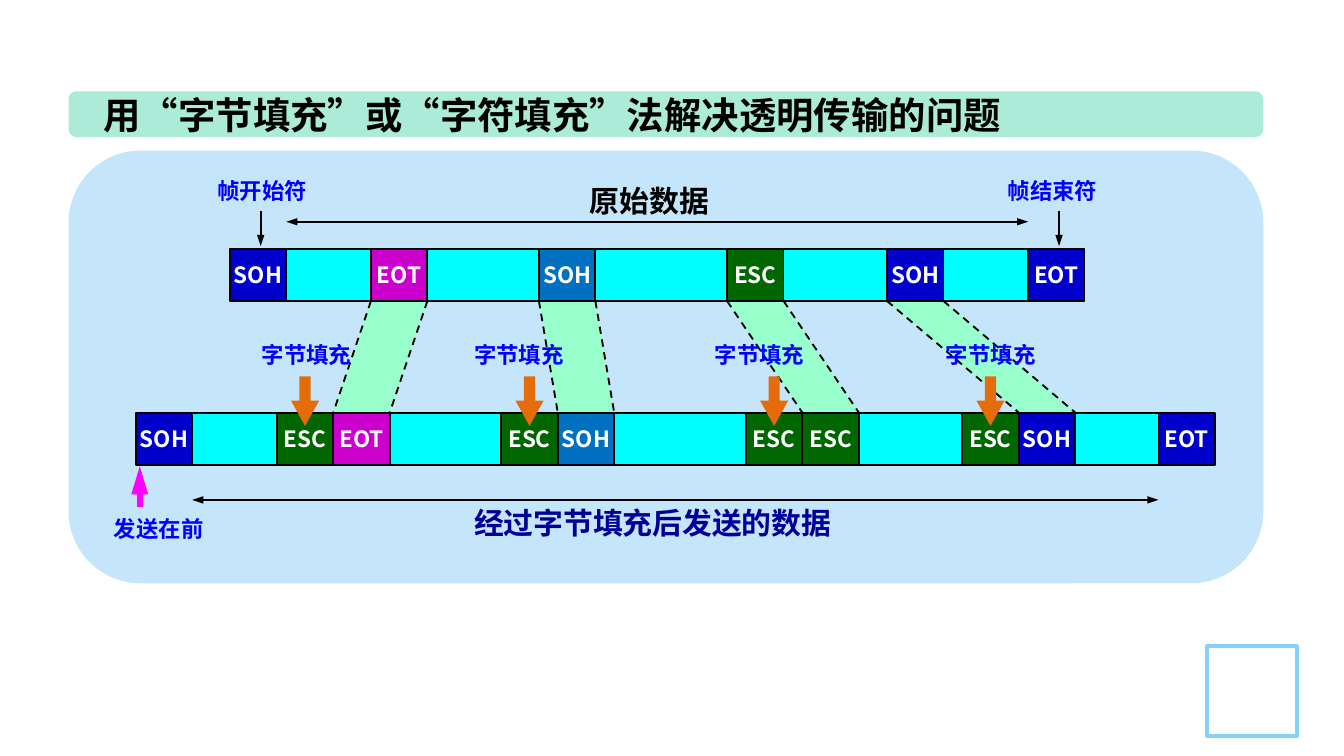
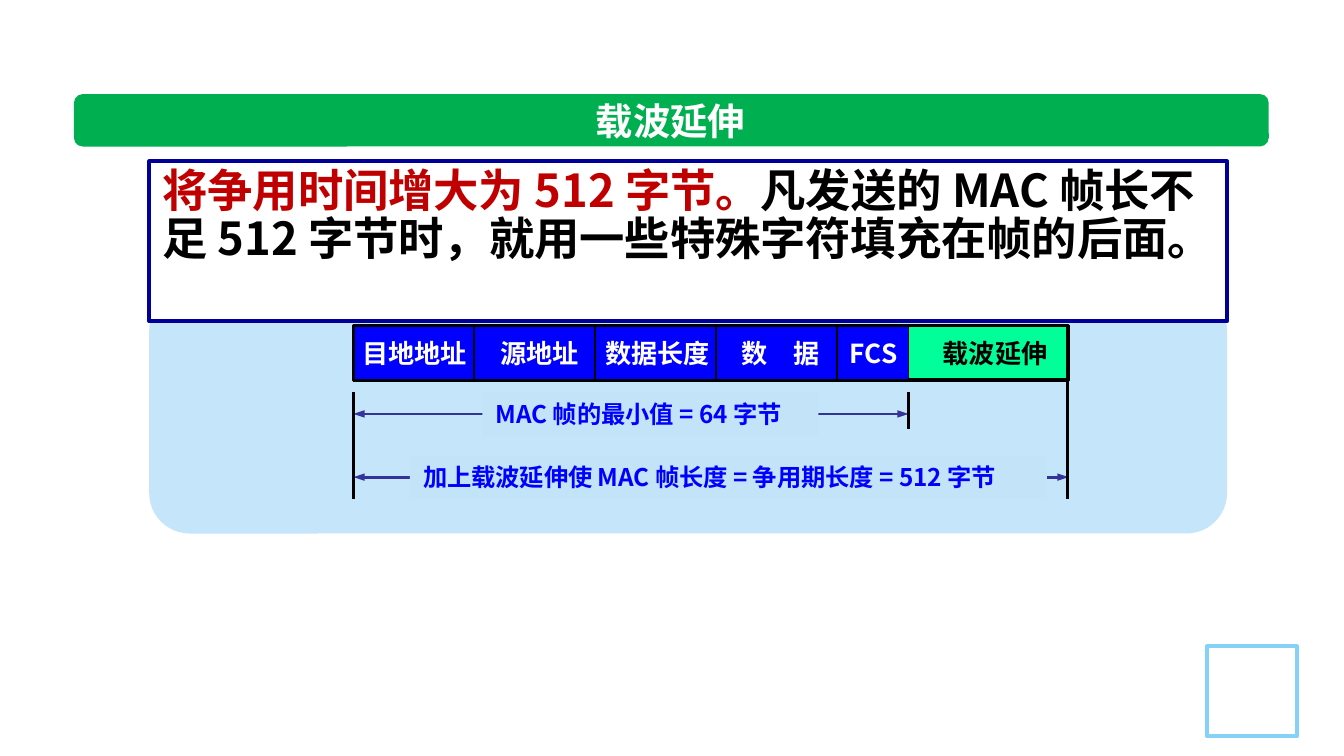
from lxml import etree
from pptx import Presentation
from pptx import util as u
from pptx.dml.color import RGBColor
from pptx.enum import dml, shapes, text
from pptx.oxml.ns import qn

FONT = "Noto Sans CJK SC"
COLORS = {
    "black": "000000", "white": "FFFFFF", "panel": "C5E5FB", "mint": "ABEBD7",
    "green": "00B050", "corner": "85D1F7", "soh": "0000CC", "eot": "CC00CC",
    "data_soh": "0070C0", "esc": "006600", "data": "00FFFF", "link": "99FFCC",
    "label": "0000FF", "navy": "000099", "magenta": "FF00FF", "orange": "E46C0A",
    "measure": "333399", "measure_back": "C3E3F9", "extension": "00FF99",
    "red": "C00000",
}
SHAPE = shapes.MSO_SHAPE
LEFT, CENTER = text.PP_ALIGN.LEFT, text.PP_ALIGN.CENTER

# Byte stuffing: both rows share one byte size
BYTE_W, BYTE_H = 0.42, 0.39
RAW_Y, SENT_Y = 1.85, 3.07
# name, colour, x in the raw row, x in the sent row, x of the stuffing label
STUFFED = [
    ("EOT", "eot", 2.76, 2.48, 1.85),
    ("SOH", "data_soh", 4.01, 4.15, 3.43),
    ("ESC", "esc", 5.41, 5.97, 5.22),
    ("SOH", "soh", 6.6, 7.58, 6.94),
]

# Carrier extension: field name, text left, text width
FIELDS = [
    ("目地地址", 2.59, 0.99), ("源地址", 3.62, 0.79), ("数据长度", 4.4, 0.99),
    ("数　据", 5.4, 0.82), ("FCS", 6.22, 0.56),
]
FRAME_X, FRAME_Y, FIELD_W = 2.63, 2.42, 0.9
FRAME_END, EXTENSION_END = 6.76, 7.95


def rgb(name):
    return RGBColor.from_string(COLORS[name])


def inches(*lengths):
    return [u.Inches(length) for length in lengths]


def paint(shape, fill, line=None, width=1):
    shape.shadow.inherit = False
    shape.fill.solid()
    shape.fill.fore_color.rgb = rgb(fill)
    if line:
        shape.line.color.rgb = rgb(line)
        shape.line.width = u.Pt(width)
    else:
        shape.line.fill.background()


def add_box(slide, kind, at, fill, line=None, width=1, adjust=()):
    box = slide.shapes.add_shape(kind, *inches(*at))
    for index, value in enumerate(adjust):
        box.adjustments[index] = value
    paint(box, fill, line, width)
    return box


def style_paragraph(paragraph, size, color, align):
    paragraph.alignment = align
    font = paragraph.font
    font.name, font.size, font.bold = FONT, u.Pt(size), True
    font.color.rgb = rgb(color)
    defaults = paragraph._p.pPr.find(qn("a:defRPr"))
    etree.SubElement(defaults, qn("a:ea")).set("typeface", FONT)


def write(shape, words, size, color, align=LEFT, wrap=False):
    frame = shape.text_frame
    frame.word_wrap = wrap
    frame.auto_size = text.MSO_AUTO_SIZE.NONE
    frame.vertical_anchor = text.MSO_ANCHOR.MIDDLE
    frame.text = words
    style_paragraph(frame.paragraphs[0], size, color, align)


def add_label(slide, at, words, size, color, align=LEFT, wrap=False):
    label = slide.shapes.add_textbox(*inches(*at))
    write(label, words, size, color, align, wrap)


def add_line(slide, start, end, color="black", width=1.0, head=False,
             tail=False, dashed=False, arrow=("sm", "med")):
    """Straight line; arrow gives the width and length of its arrowheads."""
    line = slide.shapes.add_connector(
        shapes.MSO_CONNECTOR.STRAIGHT, *inches(*start, *end))
    line.line.color.rgb = rgb(color)
    line.line.width = u.Pt(width)
    if dashed:
        line.line.dash_style = dml.MSO_LINE.DASH
    properties = line._element.spPr
    outline = properties.find(qn("a:ln"))
    for wanted, tag in ((head, "a:headEnd"), (tail, "a:tailEnd")):
        if wanted:
            etree.SubElement(outline, qn(tag), type="triangle",
                             w=arrow[0], len=arrow[1])
    etree.SubElement(properties, qn("a:effectLst"))


def add_title(slide, words, at, color, align):
    title = slide.shapes.title
    title.left, title.top, title.width, title.height = inches(*at)
    write(title, words, 20, color, align)
    # Bring the title in front of its band
    title._element.getparent().append(title._element)


def new_slide(prs):
    slide = prs.slides.add_slide(prs.slide_layouts[5])
    add_box(slide, SHAPE.RECTANGLE, (8.98, 4.81, 0.67, 0.67), "white", "corner", 2)
    return slide


def add_band(slide, at, fill):
    add_box(slide, SHAPE.ROUNDED_RECTANGLE, at, fill, adjust=[0.167])


def add_byte(slide, x, y, name, fill):
    byte = add_box(slide, SHAPE.RECTANGLE, (x, y, BYTE_W, BYTE_H), fill, "black")
    write(byte, name, 12, "white", CENTER)


def add_frame_row(slide, x, end, y):
    """Data strip between a start byte and an end byte."""
    add_byte(slide, x - BYTE_W, y, "SOH", "soh")
    add_box(slide, SHAPE.RECTANGLE, (x, y, end - x, BYTE_H), "data", "black")
    add_byte(slide, end, y, "EOT", "soh")


def add_link(slide, raw_x, sent_x):
    """Slanted band from a raw byte down to the same byte as sent."""
    top = RAW_Y + BYTE_H
    corners = [inches(x, y) for x, y in (
        (sent_x, SENT_Y), (sent_x + BYTE_W, SENT_Y),
        (raw_x + BYTE_W, top), (raw_x, top))]
    builder = slide.shapes.build_freeform(*corners[0])
    builder.add_line_segments(corners[1:])
    paint(builder.convert_to_shape(), "link")


def build_byte_stuffing(prs):
    slide = new_slide(prs)
    add_band(slide, (0.51, 0.68, 8.89, 0.34), "mint")
    add_title(slide, "用“字节填充”或“字符填充”法解决透明传输的问题",
              (0.67, 0.63, 6.93, 0.44), "black", LEFT)
    add_box(slide, SHAPE.ROUNDED_RECTANGLE, (0.51, 1.12, 8.89, 3.22), "panel")

    # Rows of bytes and the links between them
    for _, _, raw_x, sent_x, _ in STUFFED:
        add_link(slide, raw_x, sent_x)
    add_frame_row(slide, 2.13, 7.65, RAW_Y)
    add_frame_row(slide, 1.43, 8.62, SENT_Y)
    for name, fill, raw_x, sent_x, _ in STUFFED:
        add_byte(slide, raw_x, RAW_Y, name, fill)
        add_byte(slide, sent_x - BYTE_W, SENT_Y, "ESC", "esc")
        add_byte(slide, sent_x, SENT_Y, name, fill)
        for edge in (0, BYTE_W):
            add_line(slide, (raw_x + edge, RAW_Y + BYTE_H),
                     (sent_x + edge, SENT_Y), dashed=True)

    # Extents of the data
    add_line(slide, (2.13, 1.65), (7.65, 1.65), head=True, tail=True)
    add_label(slide, (4.29, 1.31, 1.1, 0.37), "原始数据", 16, "black")
    add_line(slide, (1.43, 3.72), (8.62, 3.72), head=True, tail=True)
    add_label(slide, (3.43, 3.7, 3.27, 0.37), "经过字节填充后发送的数据",
              16, "navy", wrap=True)

    # Frame markers and sending order
    for words, label_x, arrow_x in (("帧开始符", 1.52, 1.94), ("帧结束符", 7.4, 7.88)):
        add_label(slide, (label_x, 1.27, 0.88, 0.3), words, 12, "label")
        add_line(slide, (arrow_x, 1.57), (arrow_x, 1.83), tail=True)
    add_line(slide, (1.04, 3.77), (1.04, 3.47), "magenta", 3, tail=True,
             arrow=("med", "lg"))
    add_label(slide, (0.75, 3.78, 0.93, 0.3), "发送在前", 12, "label", wrap=True)

    # Stuffed bytes
    arrow_w = 0.21
    for _, _, _, sent_x, label_x in STUFFED:
        add_label(slide, (label_x, 2.49, 0.88, 0.3), "字节填充", 12, "label")
        arrow_x = sent_x - (BYTE_W + arrow_w) / 2
        add_box(slide, SHAPE.DOWN_ARROW, (arrow_x, 2.8, arrow_w, 0.37), "orange",
                adjust=[0.394, 0.901])


def add_measure(slide, y, end, words, left, width):
    add_line(slide, (FRAME_X, y), (end, y), "measure", 1.5, head=True, tail=True)
    caption = add_box(slide, SHAPE.RECTANGLE, (left, y - 0.16, width, 0.32),
                      "measure_back")
    write(caption, words, 13, "label")


def add_rule(slide):
    box = add_box(slide, SHAPE.RECTANGLE, (1.11, 1.2, 8.02, 1.19), "white", "navy", 2)
    frame = box.text_frame
    frame.word_wrap = True
    frame.vertical_anchor = text.MSO_ANCHOR.TOP
    paragraph = frame.paragraphs[0]
    paragraph.line_spacing = u.Pt(26)
    style_paragraph(paragraph, 24.3, "black", LEFT)
    for words, color in (
            ("将争用时间增大为 512 字节。", "red"),
            ("凡发送的 MAC 帧长不足 512 字节时，就用一些特殊字符填充在帧的后面。", "black")):
        run = paragraph.add_run()
        run.text = words
        run.font.color.rgb = rgb(color)


def build_carrier_extension(prs):
    slide = new_slide(prs)
    add_box(slide, SHAPE.ROUNDED_RECTANGLE, (1.11, 2.16, 8.02, 1.81), "panel")
    add_band(slide, (0.55, 0.7, 8.89, 0.39), "green")
    add_title(slide, "载波延伸", (4.33, 0.68, 1.32, 0.44), "white", CENTER)

    # Frame fields
    add_box(slide, SHAPE.RECTANGLE,
            (FRAME_X, FRAME_Y, EXTENSION_END - FRAME_X, 0.41), "label", "black", 1.5)
    for index, (name, left, width) in enumerate(FIELDS):
        x = FRAME_X + index * FIELD_W
        add_line(slide, (x, FRAME_Y), (x, FRAME_Y + 0.42))
        add_label(slide, (left, 2.46, width, 0.33), name, 14, "white", CENTER)
    add_line(slide, (FRAME_END, FRAME_Y), (FRAME_END, FRAME_Y + 0.41))
    add_box(slide, SHAPE.RECTANGLE, (FRAME_END, 2.43, 1.18, 0.39),
            "extension", "black", 0.75)
    add_label(slide, (6.91, 2.46, 0.99, 0.33), "载波延伸", 14, "black", CENTER)

    # Lengths
    add_measure(slide, 3.08, FRAME_END, "MAC 帧的最小值 = 64 字节", 3.59, 2.5)
    add_measure(slide, 3.55, EXTENSION_END,
                "加上载波延伸使 MAC 帧长度 = 争用期长度 = 512 字节", 3.05, 4.74)
    for x, top, bottom in ((FRAME_X, 2.92, 3.71), (FRAME_END, 2.92, 3.19),
                           (EXTENSION_END - 0.01, 2.82, 3.71)):
        add_line(slide, (x, top), (x, bottom), width=1.5)

    add_rule(slide)


def main():
    prs = Presentation()
    prs.slide_width = u.Inches(10)
    prs.slide_height = prs.slide_width * 9 // 16
    build_byte_stuffing(prs)
    build_carrier_extension(prs)
    prs.save("out.pptx")


if __name__ == "__main__":
    main()
